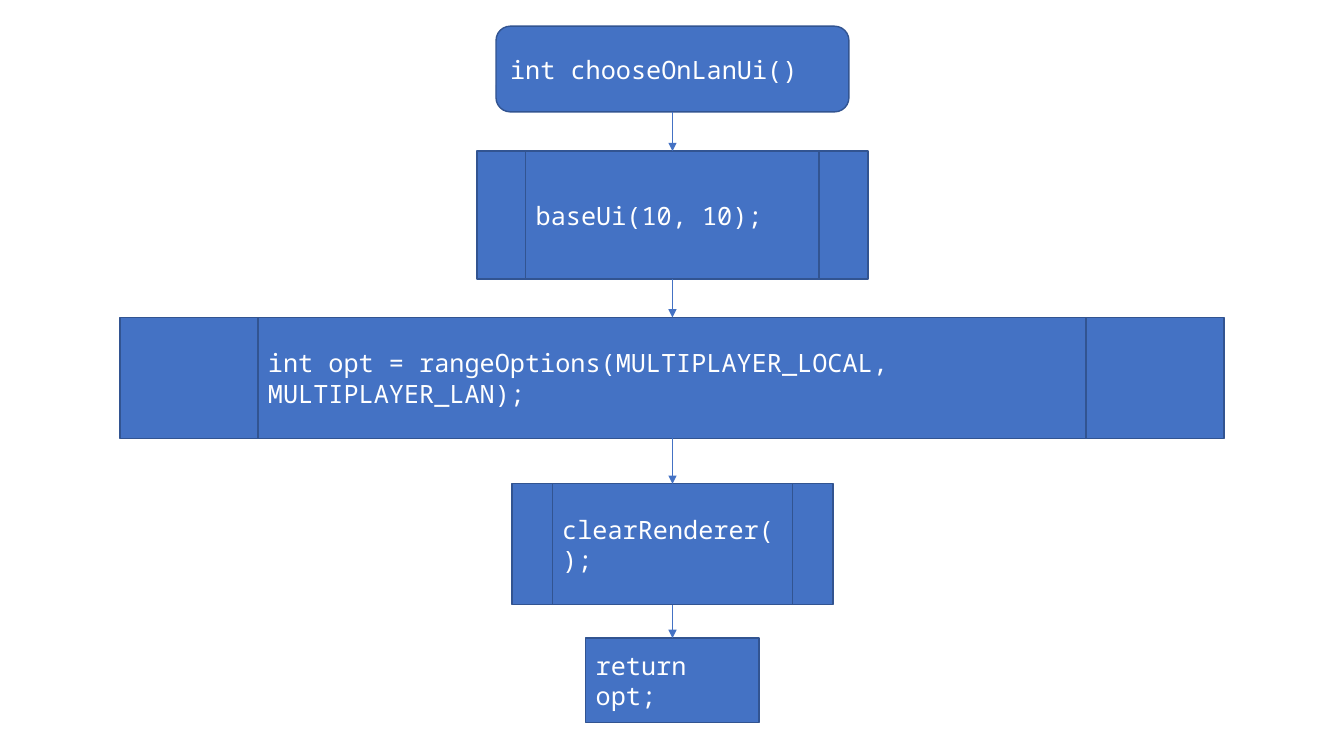
from lxml.etree import SubElement
from pptx import Presentation
from pptx.dml.color import RGBColor
from pptx.enum.shapes import MSO_CONNECTOR, MSO_SHAPE
from pptx.enum.text import MSO_ANCHOR, PP_ALIGN
from pptx.oxml.ns import qn
from pptx.util import Pt

PX = 9144
WIDTH, HEIGHT = 1333, 750
CENTER = 667
BLUE = RGBColor(0x44, 0x72, 0xC4)
DARK_BLUE = RGBColor(0x32, 0x54, 0x91)
WHITE = RGBColor(0xFF, 0xFF, 0xFF)

PROCESS = MSO_SHAPE.FLOWCHART_PREDEFINED_PROCESS
STEPS = [
    (MSO_SHAPE.ROUNDED_RECTANGLE, 26, 350, 85, "int chooseOnLanUi()"),
    (PROCESS, 150, 388, 127, "baseUi(10, 10);"),
    (PROCESS, 315, 1095, 120,
     "int opt = rangeOptions(MULTIPLAYER_LOCAL, MULTIPLAYER_LAN);"),
    (PROCESS, 480, 318, 120, "clearRenderer();"),
    (MSO_SHAPE.RECTANGLE, 633, 172, 84, "return opt;"),
]


class Flowchart:
    """Draws centred steps and arrows on one slide."""

    font = "Noto Sans Mono"
    size = Pt(18)

    def __init__(self, prs):
        self.s = prs.slides.add_slide(prs.slide_layouts[6])

    def step(self, kind, top, width, height, text):
        left = (2 * CENTER - width) // 2
        sp = self.s.shapes.add_shape(
            kind, left * PX, top * PX, width * PX, height * PX)
        sp.shadow.inherit = False
        sp.fill.solid()
        sp.fill.fore_color.rgb = BLUE
        sp.line.color.rgb = DARK_BLUE
        sp.line.width = Pt(1)
        tf = sp.text_frame
        tf.word_wrap = True
        tf.vertical_anchor = MSO_ANCHOR.MIDDLE
        p = tf.paragraphs[0]
        p.alignment = PP_ALIGN.LEFT
        r = p.add_run()
        r.text = text
        r.font.name = self.font
        r.font.size = self.size
        r.font.color.rgb = WHITE

    def arrow(self, top, bottom):
        c = self.s.shapes.add_connector(
            MSO_CONNECTOR.STRAIGHT,
            CENTER * PX, top * PX, CENTER * PX, bottom * PX)
        c.line.color.rgb = BLUE
        c.line.width = Pt(0.5)
        SubElement(c.line._get_or_add_ln(), qn("a:tailEnd"), type="triangle")
        SubElement(c._element.spPr, qn("a:effectLst"))


def main():
    prs = Presentation()
    prs.slide_width, prs.slide_height = WIDTH * PX, HEIGHT * PX
    chart = Flowchart(prs)
    for step in STEPS:
        chart.step(*step)
    for (_, top, _, height, _), following in zip(STEPS, STEPS[1:]):
        chart.arrow(top + height, following[1])
    prs.save("out.pptx")


if __name__ == "__main__":
    main()
